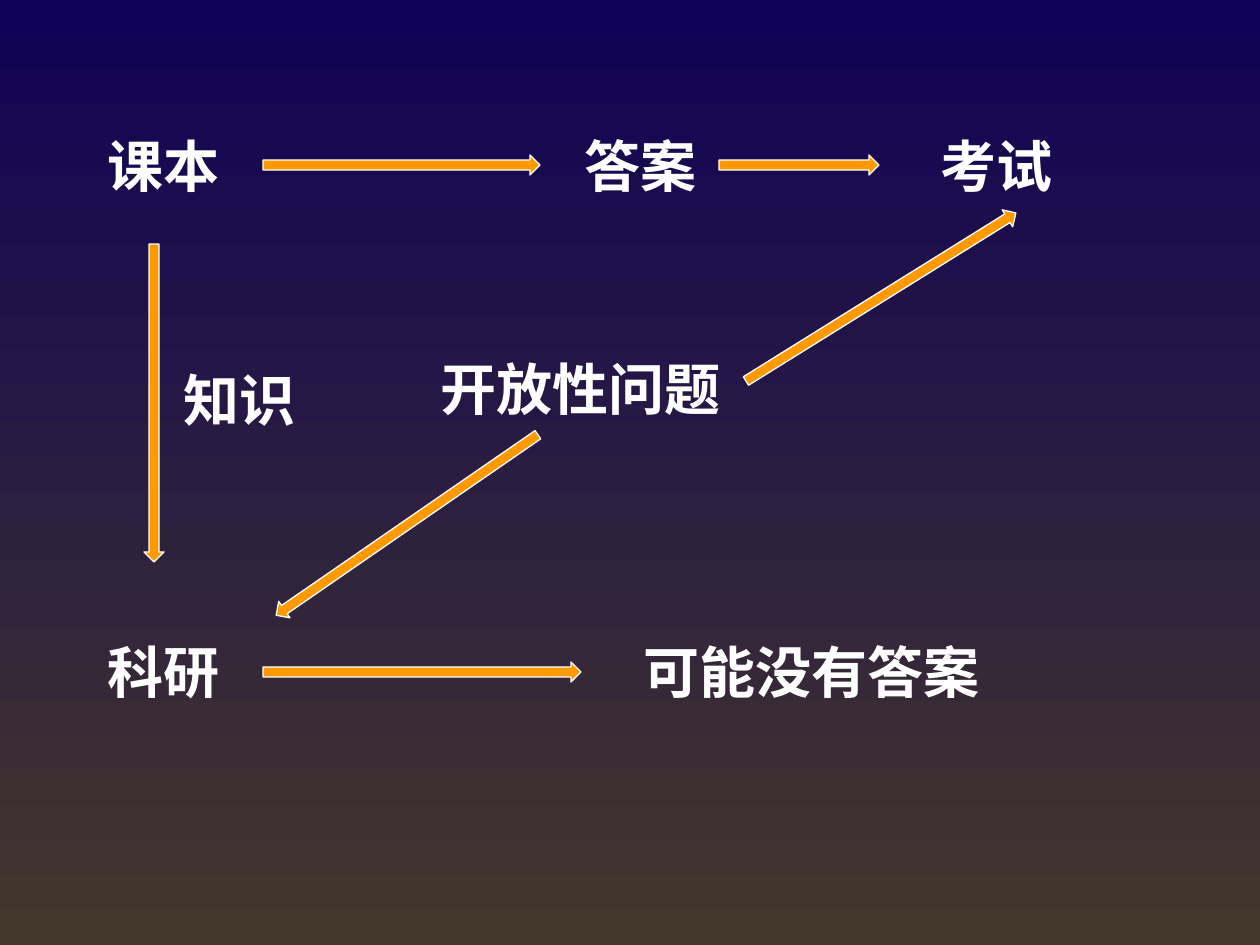
from typing import NamedTuple

from lxml.etree import SubElement
from pptx import Presentation
from pptx.dml.color import RGBColor
from pptx.enum.shapes import MSO_SHAPE
from pptx.enum.text import MSO_AUTO_SIZE, PP_ALIGN
from pptx.oxml.ns import qn
from pptx.slide import Slide
from pptx.util import Emu, Pt

SCALE = 914400 / 126
COLORS = {"top": "100256", "base": "44372C", "arrow": "FF9900", "white": "FFFFFF"}
FONT = "Noto Sans CJK SC"
GLYPH, PAD, LABEL_H, ARROW_H = 56, 27, 81, 20
ROW_1, ROW_2 = 125, 631
LINE_1, LINE_2 = 155, 662


class Label(NamedTuple):
    text: str
    left: int
    top: int


class Arrow(NamedTuple):
    left: int
    top: int
    width: int
    turn: float = 0


LABELS = [
    Label("课本", 94, ROW_1),
    Label("答案", 571, ROW_1),
    Label("考试", 927, ROW_1),
    Label("知识", 170, 359),
    Label("开放性问题", 427, 348),
    Label("科研", 94, ROW_2),
    Label("可能没有答案", 630, ROW_2),
]
ARROWS = [
    Arrow(263, LINE_1, 277),
    Arrow(719, LINE_1, 160),
    Arrow(722, 287, 318, 328.1),
    Arrow(-5, 393, 318, 90),
    Arrow(248, 515, 318, 145.4),
    Arrow(263, LINE_2, 318),
]


def px(n: int) -> Emu:
    return Emu(round(n * SCALE))


def rgb(name: str) -> RGBColor:
    return RGBColor.from_string(COLORS[name])


def add_text(slide: Slide, text: str, left: int, top: int, width: int, *,
             size: int = 32, bold: bool = True, color: str = "white") -> None:
    box = slide.shapes.add_textbox(px(left), px(top), px(width), px(LABEL_H))
    frame = box.text_frame
    frame.word_wrap = False
    frame.auto_size = MSO_AUTO_SIZE.SHAPE_TO_FIT_TEXT
    para = frame.paragraphs[0]
    para.alignment = PP_ALIGN.CENTER
    run = para.add_run()
    run.text = text
    font = run.font
    font.size, font.bold, font.name = Pt(size), bold, FONT
    font.color.rgb = rgb(color)
    SubElement(run._r.get_or_add_rPr(), qn("a:ea"), typeface=FONT)


def add_arrow(slide: Slide, arrow: Arrow) -> None:
    shape = slide.shapes.add_shape(
        MSO_SHAPE.RIGHT_ARROW, px(arrow.left), px(arrow.top), px(arrow.width), px(ARROW_H))
    shape.rotation = arrow.turn
    shape.shadow.inherit = False
    shape.fill.solid()
    shape.fill.fore_color.rgb = rgb("arrow")
    shape.line.color.rgb = rgb("white")
    shape.line.width = Pt(0.75)


def paint_back(slide: Slide) -> None:
    fill = slide.background.fill
    fill.gradient()
    fill.gradient_angle = 270
    for stop, place, name in zip(fill.gradient_stops, (0, 1), ("top", "base")):
        stop.position = place
        stop.color.rgb = rgb(name)


def main() -> None:
    deck = Presentation()
    deck.slide_width, deck.slide_height = px(1260), px(945)
    slide = deck.slides.add_slide(deck.slide_layouts[6])
    paint_back(slide)
    for label in LABELS:
        add_text(slide, *label, GLYPH * len(label.text) + PAD)
    for arrow in ARROWS:
        add_arrow(slide, arrow)
    deck.save("out.pptx")


if __name__ == "__main__":
    main()
